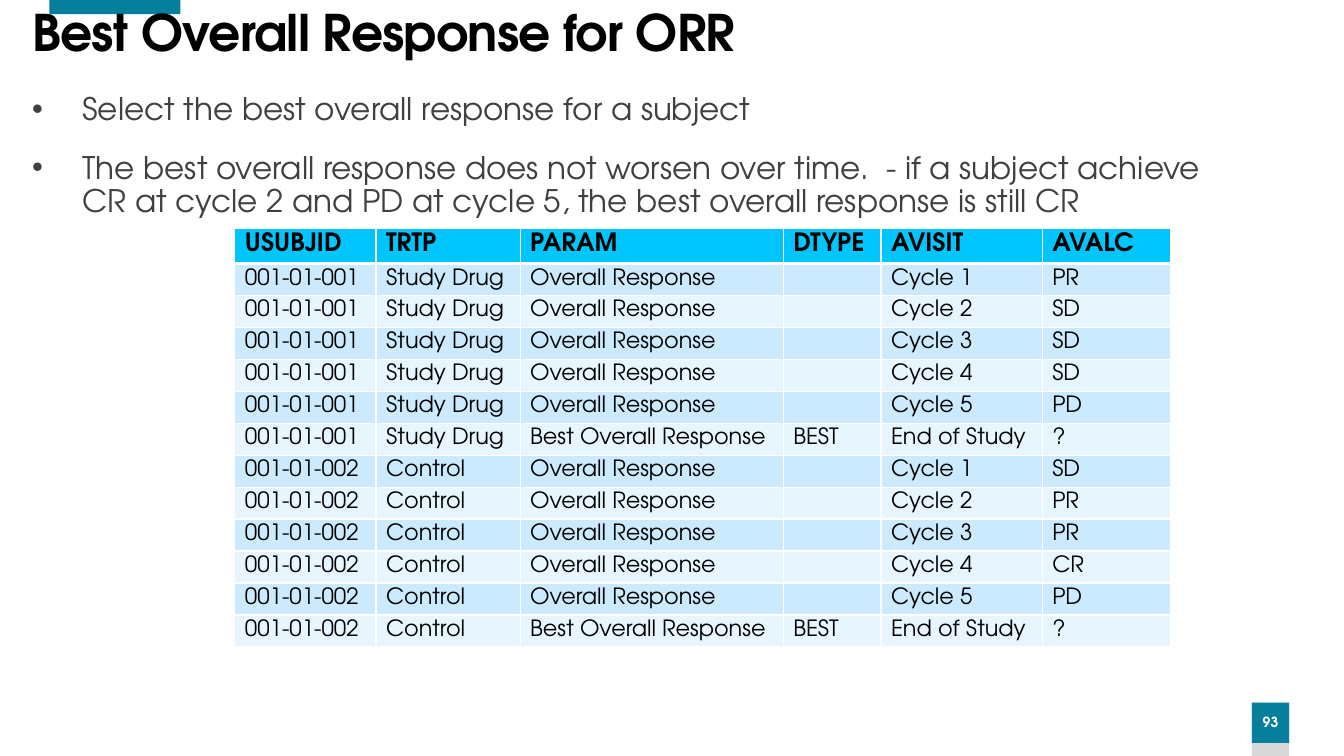
import dataclasses
import typing

import pptx
import pptx.dml.color
import pptx.enum.shapes
import pptx.enum.text
import pptx.oxml
import pptx.oxml.ns
import pptx.util

Pt = pptx.util.Pt
Align = pptx.enum.text.PP_ALIGN
Anchor = pptx.enum.text.MSO_ANCHOR


@dataclasses.dataclass(frozen=True)
class Theme:
    font: str = "TeX Gyre Adventor"
    teal: str = "067F9C"
    grey: str = "D9D9D9"
    white: str = "FFFFFF"
    black: str = "000000"
    text: str = "404040"
    head: str = "01C6FD"
    bands: tuple[str, str] = ("CCEAFE", "E7F5FF")
    title_size: float = 36
    body_size: float = 22.2
    head_size: float = 18
    cell_size: float = 16
    page_size: float = 10


class Box(typing.NamedTuple):
    left: float
    top: float
    width: float
    height: float

    def points(self) -> list[pptx.util.Length]:
        return [Pt(side) for side in self]


class Block(typing.NamedTuple):
    box: Box
    fill: str


class Style(typing.NamedTuple):
    size: float
    color: str
    bold: bool = False


class Subject(typing.NamedTuple):
    code: str
    group: str
    grades: tuple[str, ...]


THEME = Theme()
PAGE = Box(894.24, 501.84, 26.64, 28.8)
BLOCKS = [
    Block(Box(894.24, 501.84, 26.64, 38.16), THEME.grey),
    Block(PAGE, THEME.teal),
    Block(Box(35.28, 0, 93.6, 10.08), THEME.teal),
]
POINTS = [
    "Select the best overall response for a subject",
    "The best overall response does not worsen over time.  - if a subject achieve "
    "CR at cycle 2 and PD at cycle 5, the best overall response is still CR",
]
HEADS = ["USUBJID", "TRTP", "PARAM", "DTYPE", "AVISIT", "AVALC"]
WIDTHS = [100.8, 102.96, 187.92, 69.84, 115.2, 91.44]
HEAD_ROW, BODY_ROW = 23.5, 22.1
SUBJECTS = [
    Subject("001-01-001", "Study Drug", ("PR", "SD", "SD", "SD", "PD")),
    Subject("001-01-002", "Control", ("SD", "PR", "PR", "CR", "PD")),
]


def color(code: str) -> pptx.dml.color.RGBColor:
    return pptx.dml.color.RGBColor.from_string(code)


def add_run(para: typing.Any, text: str, style: Style) -> typing.Any:
    run = para.add_run()
    run.text = text
    run.font.name = THEME.font
    run.font.size = Pt(style.size)
    run.font.bold = style.bold
    run.font.color.rgb = color(style.color)
    return run


def add_block(slide: typing.Any, block: Block) -> typing.Any:
    shape = slide.shapes.add_shape(
        pptx.enum.shapes.MSO_SHAPE.RECTANGLE, *block.box.points())
    shape.shadow.inherit = False
    shape.fill.solid()
    shape.fill.fore_color.rgb = color(block.fill)
    shape.line.fill.background()
    return shape


def add_page(shape: typing.Any) -> None:
    frame = shape.text_frame
    frame.margin_left = frame.margin_right = 0
    frame.vertical_anchor = Anchor.MIDDLE
    para = frame.paragraphs[0]
    para.alignment = Align.CENTER
    para.line_spacing = 0.9
    add_run(para, "93", Style(THEME.page_size, THEME.white, True))


def add_frame(slide: typing.Any, box: Box) -> typing.Any:
    frame = slide.shapes.add_textbox(*box.points()).text_frame
    frame.word_wrap = True
    return frame


def add_title(slide: typing.Any) -> None:
    frame = add_frame(slide, Box(15.84, 0, 740.88, 50))
    frame.vertical_anchor = Anchor.MIDDLE
    para = frame.paragraphs[0]
    para.line_spacing = 0.9
    style = Style(THEME.title_size, THEME.black, True)
    run = add_run(para, "Best Overall Response for ORR", style)
    run.font._element.set("spc", "-60")


def add_body(slide: typing.Any) -> None:
    frame = add_frame(slide, Box(15.84, 63.36, 864, 110.16))
    for index, text in enumerate(POINTS):
        para = frame.add_paragraph() if index else frame.paragraphs[0]
        para.line_spacing = 0.9
        para.space_before = Pt(6 if index else 0)
        para.space_after = Pt(12)
        props = para._p.get_or_add_pPr()
        props.set("marL", str(Pt(36)))
        props.set("indent", str(-Pt(36)))
        props.append(pptx.oxml.parse_xml(
            f'<a:buFont {pptx.oxml.ns.nsdecls("a")} typeface="Arial"/>'))
        props.append(pptx.oxml.parse_xml(
            f'<a:buChar {pptx.oxml.ns.nsdecls("a")} char="•"/>'))
        add_run(para, text, Style(THEME.body_size, THEME.text))


def make_rows() -> list[list[str]]:
    rows = [HEADS]
    for code, group, grades in SUBJECTS:
        for cycle, grade in enumerate(grades, 1):
            rows.append([code, group, "Overall Response", "", f"Cycle {cycle}", grade])
        rows.append([code, group, "Best Overall Response", "BEST", "End of Study", "?"])
    return rows


def add_edge(cell: typing.Any, side: str, width: float) -> None:
    cell._tc.get_or_add_tcPr().append(pptx.oxml.parse_xml(
        f'<a:ln{side} {pptx.oxml.ns.nsdecls("a")} w="{Pt(width)}"><a:solidFill>'
        f'<a:srgbClr val="{THEME.white}"/></a:solidFill></a:ln{side}>'))


def size_empty(para: typing.Any) -> None:
    para._p.append(pptx.oxml.parse_xml(
        f'<a:endParaRPr {pptx.oxml.ns.nsdecls("a")} sz="{THEME.cell_size * 100}">'
        f'<a:latin typeface="{THEME.font}"/></a:endParaRPr>'))


def fill_cell(cell: typing.Any, text: str, row: int) -> None:
    cell.margin_top, cell.margin_bottom = Pt(3.6), 0
    cell.margin_left = cell.margin_right = Pt(7.2)
    edges = {"L": 1, "R": 1, "T": 3 if row == 1 else 1, "B": 1 if row else 3}
    for side, width in edges.items():
        add_edge(cell, side, width)
    cell.fill.solid()
    cell.fill.fore_color.rgb = color(THEME.bands[(row - 1) % 2] if row else THEME.head)
    para = cell.text_frame.paragraphs[0]
    if text:
        size = THEME.cell_size if row else THEME.head_size
        add_run(para, text, Style(size, THEME.black, not row))
    else:
        size_empty(para)


def add_grid(slide: typing.Any) -> None:
    rows = make_rows()
    box = Box(167.76, 163, sum(WIDTHS), HEAD_ROW + BODY_ROW * (len(rows) - 1))
    table = slide.shapes.add_table(len(rows), len(HEADS), *box.points()).table
    for column, width in zip(table.columns, WIDTHS):
        column.width = Pt(width)
    for row, texts in enumerate(rows):
        table.rows[row].height = Pt(BODY_ROW if row else HEAD_ROW)
        for column, text in enumerate(texts):
            fill_cell(table.cell(row, column), text, row)


def main() -> None:
    deck = pptx.Presentation()
    deck.slide_width, deck.slide_height = Pt(960), Pt(540)
    slide = deck.slides.add_slide(deck.slide_layouts[6])
    for block in BLOCKS:
        shape = add_block(slide, block)
        if block.box == PAGE:
            add_page(shape)
    add_title(slide)
    add_body(slide)
    add_grid(slide)
    deck.save("out.pptx")


if __name__ == "__main__":
    main()
